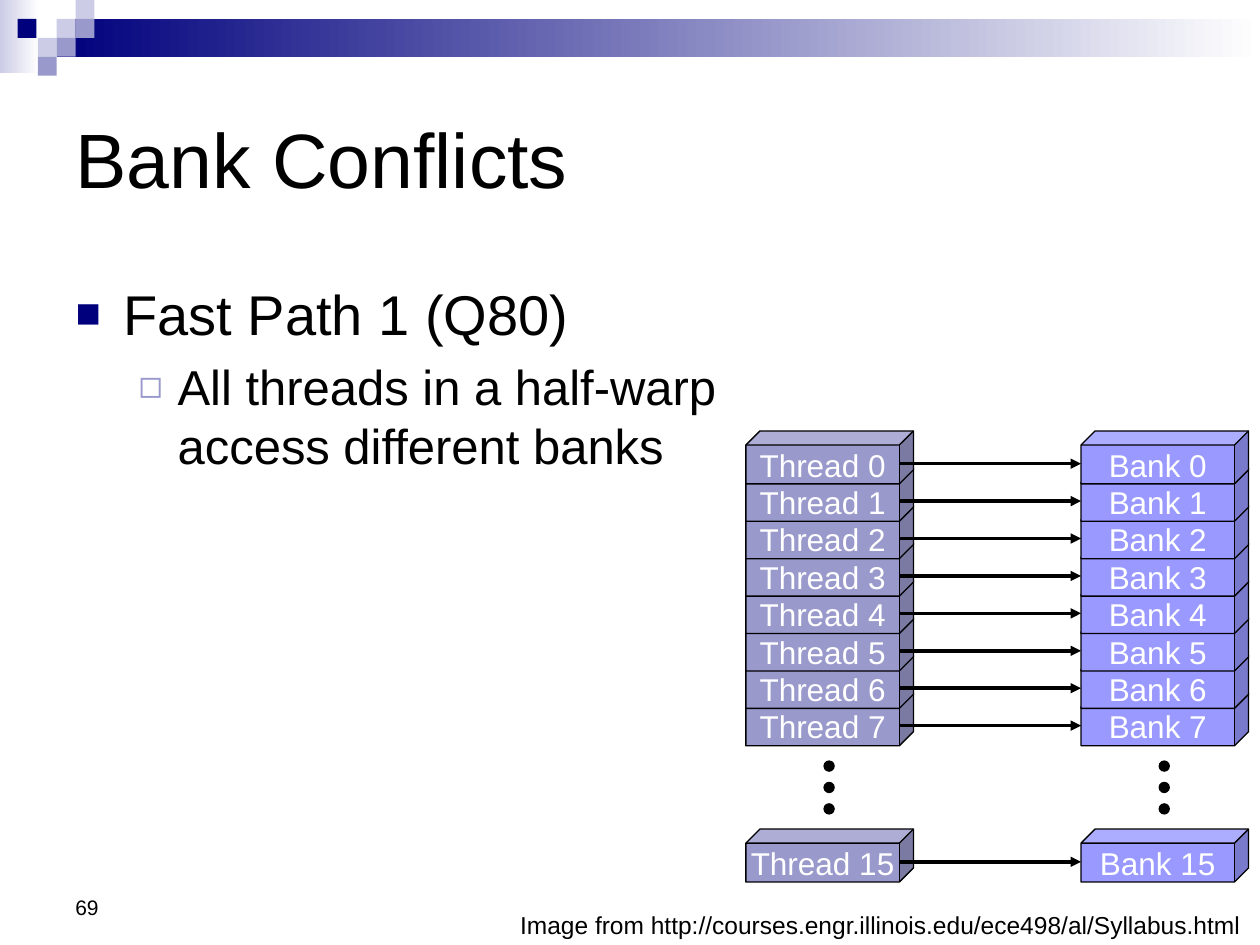
from lxml.etree import SubElement
from pptx import Presentation
from pptx.dml.color import RGBColor
from pptx.enum.shapes import MSO_CONNECTOR as Line, MSO_SHAPE as Shape
from pptx.enum.text import MSO_ANCHOR as Anchor, MSO_AUTO_SIZE as Fit, PP_ALIGN as Align
from pptx.oxml.ns import qn
from pptx.util import Inches, Pt

# Content
TITLE = "Bank Conflicts"
BULLETS = [  # text, level, size, left, hanging, mark, mark colour, mark size %
    ("Fast Path 1 (Q80)", 0, 32, 0.38, 0.38, "\u25a0", "00007D", 75),
    ("All threads in a half-warp access different banks",
     1, 28, 0.81, 0.31, "\u25fb", "9999CC", 80),
]
CREDIT = "Image from http://courses.engr.illinois.edu/ece498/al/Syllabus.html"
PAGE_NUMBER = "69"
STACKS = [("Bank", 8.58, "9999FF"), ("Thread", 5.92, "9999CC")]

# Geometry in inches
FIRST_TOP, ROW_STEP, LAST_TOP = 3.42, 0.297, 6.58
ROW_TOPS = {n: FIRST_TOP + n * ROW_STEP for n in range(8)} | {15: LAST_TOP}
CUBE_W, CUBE_H, CUBE_DEPTH = 1.33, 0.42, 0.266
DOT, DOT_TOP, DOT_STEP, DOT_SHIFT = 0.08, 6.04, 0.17, 0.62
ARROW_LEFT, ARROW_RIGHT, ARROW_DROP = 7.14, 8.58, 0.26
TILE = 0.15
TILES = [(3, 1, "CCCCE6"), (4, 0, "CCCCE6"), (4, 1, "9999CC"), (2, 2, "CCCCE6"),
         (0.93, 1, "00007D"), (3, 2, "9999CC"), (2, 3, "9999CC")]
BANDS = [(0, 0, 0.31, 0.58, "CCCCE6"), (0.45, 0.15, 9.55, 0.3, "00007D")]


def color(hex_text):
    return RGBColor.from_string(hex_text)


def add_span(para, text, size, tint="000000"):
    span = para.add_run()
    span.text = text
    span.font.size, span.font.name = Pt(size), "Arial"
    span.font.color.rgb = color(tint)


def add_block(kind, left, top, width, height, fill=None, outlined=False):
    shape = page.shapes.add_shape(kind, *map(Inches, (left, top, width, height)))
    shape.shadow.inherit = False
    if fill:
        shape.fill.solid()
        shape.fill.fore_color.rgb = color(fill)
    if outlined:
        shape.line.color.rgb = color("000000")
        shape.line.width = Pt(0.75)
    else:
        shape.line.fill.background()
    return shape


def place(shape, left, top, width, height):
    shape.left, shape.top, shape.width, shape.height = map(
        Inches, (left, top, width, height))


def add_label(text, size, align, anchor, *area):
    frame = page.shapes.add_textbox(*map(Inches, area)).text_frame
    frame.word_wrap, frame.vertical_anchor = True, anchor
    para = frame.paragraphs[0]
    para.alignment = align
    add_span(para, text, size)
    return frame


def set_bullet(para, left, hanging, mark, tint, percent):
    props = para._p.get_or_add_pPr()
    props.set("marL", str(Inches(left)))
    props.set("indent", str(-Inches(hanging)))
    SubElement(SubElement(props, qn("a:buClr")), qn("a:srgbClr"), val=tint)
    SubElement(props, qn("a:buSzPct"), val=str(percent * 1000))
    SubElement(props, qn("a:buFont"), typeface="Arial")
    SubElement(props, qn("a:buChar"), char=mark)


def add_arrow(y):
    arrow = page.shapes.add_connector(
        Line.STRAIGHT, *map(Inches, (ARROW_LEFT, y, ARROW_RIGHT, y)))
    arrow.line.color.rgb = color("000000")
    arrow.line.width = Pt(2)
    SubElement(arrow.line._get_or_add_ln(), qn("a:tailEnd"), type="triangle")
    SubElement(arrow._element.spPr, qn("a:effectLst"))


deck = Presentation()
deck.slide_width, deck.slide_height = Inches(10), Inches(7.5)
page = deck.slides.add_slide(deck.slide_layouts[1])

# Banner
for *area, tint in BANDS:
    band = add_block(Shape.RECTANGLE, *area)
    band.fill.gradient()
    band.fill.gradient_angle = 0
    for stop, stop_tint in zip(band.fill.gradient_stops, (tint, "FFFFFF")):
        stop.color.rgb = color(stop_tint)
for column, row, tint in TILES:
    add_block(Shape.RECTANGLE, column * TILE, row * TILE, TILE, TILE, tint)

# Title and list
title, body = page.shapes.title, page.placeholders[1]
place(title, 0.5, 0.5, 9, 1.5)
place(body, 0.5, 2.17, 5.5, 2.17)
title.text_frame.auto_size = body.text_frame.auto_size = Fit.NONE
title.text_frame.vertical_anchor = Anchor.MIDDLE
heading = title.text_frame.paragraphs[0]
heading.alignment = Align.LEFT
add_span(heading, TITLE, 44)
for index, (text, level, size, *bullet) in enumerate(BULLETS):
    frame = body.text_frame
    para = frame.add_paragraph() if index else frame.paragraphs[0]
    para.level, para.space_before = level, Pt(size * 0.2)
    set_bullet(para, *bullet)
    add_span(para, text, size)

# Credit and page number
credit = add_label(CREDIT, 14, Align.RIGHT, Anchor.TOP, 0, 7.17, 10, 0.34)
credit.margin_right = Inches(0.15)
add_label(PAGE_NUMBER, 12, Align.LEFT, Anchor.BOTTOM, 0.5, 6.83, 2.33, 0.52)

# Stacks, drawn from the bottom up so that each cube covers the one below
for name, left, tint in STACKS:
    for number, top in reversed(ROW_TOPS.items()):
        cube = add_block(Shape.CUBE, left, top, CUBE_W, CUBE_H, tint, outlined=True)
        cube.adjustments[0] = CUBE_DEPTH
        cube.text_frame.word_wrap = False
        cube.text_frame.vertical_anchor = Anchor.MIDDLE
        para = cube.text_frame.paragraphs[0]
        para.alignment = Align.CENTER
        add_span(para, f"{name} {number}", 18, "FFFFFF")
    for dot in range(3):
        add_block(Shape.OVAL, left + DOT_SHIFT, DOT_TOP + dot * DOT_STEP,
                  DOT, DOT, "000000", outlined=True)

# Arrows from threads to banks
for top in ROW_TOPS.values():
    add_arrow(top + ARROW_DROP)

deck.save("out.pptx")
